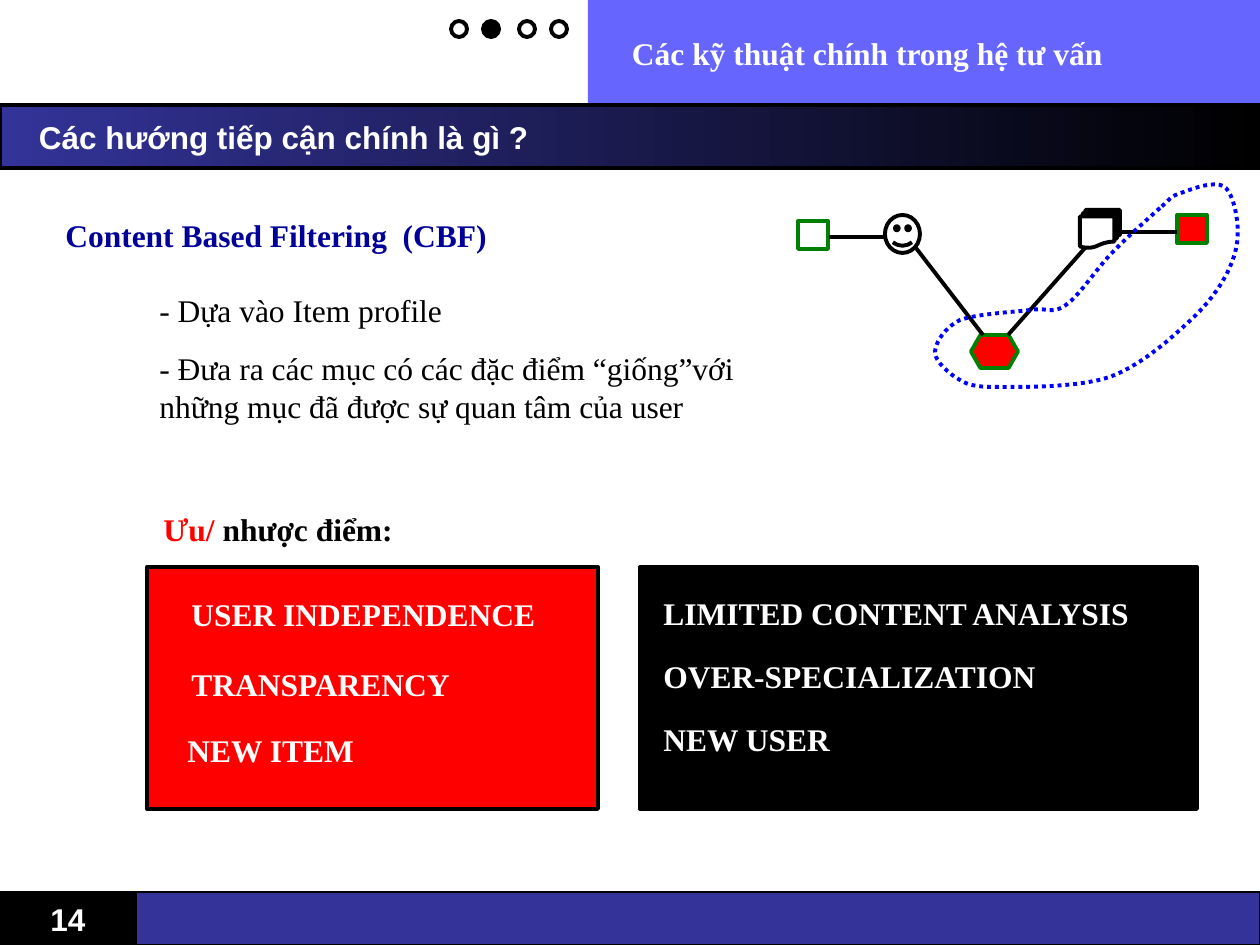
from dataclasses import dataclass

from lxml import etree
from pptx import Presentation
from pptx.dml.color import RGBColor
from pptx.enum.dml import MSO_LINE
from pptx.enum.shapes import MSO_CONNECTOR, MSO_SHAPE
from pptx.enum.text import MSO_ANCHOR, PP_ALIGN
from pptx.oxml.ns import qn
from pptx.util import Pt

PX = 914400 / 126
RECT, OVAL = MSO_SHAPE.RECTANGLE, MSO_SHAPE.OVAL
FACE, HEXAGON = MSO_SHAPE.SMILEY_FACE, MSO_SHAPE.FLOWCHART_PREPARATION
DOCUMENTS = MSO_SHAPE.FLOWCHART_MULTIDOCUMENT
STRAIGHT, DOTTED = MSO_CONNECTOR.STRAIGHT, MSO_LINE.ROUND_DOT
TOP, MIDDLE = MSO_ANCHOR.TOP, MSO_ANCHOR.MIDDLE
LEFT, CENTER = PP_ALIGN.LEFT, PP_ALIGN.CENTER


@dataclass(frozen=True)
class Theme:
    black: str = "000000"
    white: str = "FFFFFF"
    red: str = "FF0000"
    green: str = "008000"
    blue: str = "0000FF"
    navy: str = "000099"
    indigo: str = "333399"
    violet: str = "6666FF"
    serif: str = "Times New Roman"
    sans: str = "Arial"
    size: int = 18
    thin: float = 0.75
    thick: float = 2.25


THEME = Theme()

# Cubic outline around the liked and suggested items: a start, then triples
OUTLINE = [
    (362, 29), (351, 39), (328, 59), (312, 76), (297, 92), (281, 117), (268, 126),
    (254, 136), (250, 128), (233, 131), (215, 133), (179, 135), (162, 141),
    (147, 149), (138, 162), (137, 173), (137, 181), (147, 191), (157, 198),
    (167, 204), (171, 208), (197, 208), (224, 208), (279, 209), (312, 198),
    (346, 185), (376, 157), (398, 136), (419, 115), (433, 92), (438, 70),
    (443, 49), (437, 19), (428, 9), (419, 0), (394, 10), (383, 14),
    (371, 18), (374, 19), (362, 29),
]


def emu(*lengths):
    return [round(length * PX) for length in lengths]


def color(value):
    return RGBColor.from_string(value)


def set_line(shape, value, width):
    if value is None:
        shape.line.fill.background()
    else:
        shape.line.color.rgb = color(value)
        shape.line.width = Pt(width)


def add_box(page, kind, box, fill=None, line=THEME.black, width=THEME.thick):
    shape = page.shapes.add_shape(kind, *emu(*box))
    shape.shadow.inherit = False
    if fill:
        shape.fill.solid()
        shape.fill.fore_color.rgb = color(fill)
    else:
        shape.fill.background()
    set_line(shape, line, width)
    return shape


def add_line(page, start, end):
    line = page.shapes.add_connector(STRAIGHT, *emu(*start, *end))
    set_line(line, THEME.black, THEME.thick)
    etree.SubElement(line._element.spPr, qn("a:effectLst"))


def write(shape, spans, bold=True, font=THEME.serif, align=LEFT, anchor=MIDDLE,
          indent=None, wrap=True):
    """Write (text, colour) spans as one paragraph."""
    frame = shape.text_frame
    frame.word_wrap = wrap
    frame.vertical_anchor = anchor
    if indent is not None:
        frame.margin_left = emu(indent)[0]
    para = frame.paragraphs[0]
    para.alignment = align
    for text, value in spans:
        span = para.add_run()
        span.text = text
        span.font.name = font
        span.font.size = Pt(THEME.size)
        span.font.bold = bold
        span.font.color.rgb = color(value)


def add_text(page, box, *spans, **options):
    write(page.shapes.add_textbox(*emu(*box)), spans, **options)


def add_header(page, left, top, width, height):
    # Section name and progress dots
    split, bar = 588, 63
    section = add_box(page, RECT, (left + split, top, width - split, height - bar),
                      THEME.violet, None)
    write(section, [("Các kỹ thuật chính trong hệ tư vấn", THEME.white)], indent=44)
    for index, x in enumerate((451, 483, 519, 551)):
        add_box(page, OVAL, (left + x, top + 21, 16, 16),
                THEME.black if index == 1 else None)

    # Title bar
    title = add_box(page, RECT, (left, top + height - bar, width, bar))
    title.fill.gradient()
    title.fill.gradient_angle = 0
    stops = zip(title.fill.gradient_stops, (THEME.indigo, THEME.black), (0, 1))
    for stop, value, position in stops:
        stop.color.rgb = color(value)
        stop.position = position
    write(title, [("Các hướng tiếp cận chính là gì ?", THEME.white)],
          font=THEME.sans, indent=39)


def add_outline(page, left, top):
    points = [OUTLINE[0]]
    steps = 10
    for first in range(0, len(OUTLINE) - 1, 3):
        a, b, c, d = OUTLINE[first:first + 4]
        for step in range(1, steps + 1):
            t = step / steps
            weights = ((1 - t) ** 3, 3 * t * (1 - t) ** 2, 3 * t * t * (1 - t), t ** 3)
            points.append(tuple(sum(w * p[axis] for w, p in zip(weights, (a, b, c, d)))
                                for axis in (0, 1)))
    places = [emu(left + x, top + y) for x, y in points]
    builder = page.shapes.build_freeform(*places[0], scale=1.0)
    builder.add_line_segments(places[1:], close=True)
    outline = builder.convert_to_shape()
    outline.shadow.inherit = False
    outline.fill.background()
    set_line(outline, THEME.blue, THEME.thick)
    outline.line.dash_style = DOTTED


def add_graph(page, left, top):
    # User, documents and items
    for kind, (x, y, width, height), fill, line in (
        (FACE, (87, 36, 35, 38), None, THEME.black),
        (DOCUMENTS, (282, 31, 40, 38), None, THEME.black),
        (RECT, (0, 42, 30, 28), None, THEME.green),
        (RECT, (379, 36, 30, 28), THEME.red, THEME.green),
        (HEXAGON, (173, 156, 47, 33), THEME.red, THEME.green),
    ):
        add_box(page, kind, (left + x, top + y, width, height), fill, line)
    # Links between them
    for x1, y1, x2, y2 in ((87, 58, 31, 58), (379, 53, 322, 53),
                           (118, 69, 185, 156), (287, 69, 210, 156)):
        add_line(page, (left + x1, top + y1), (left + x2, top + y2))
    add_outline(page, left, top)


def add_method(page, left, top):
    add_text(page, (left, top, 456, 50),
             ("Content Based Filtering  (CBF)", THEME.navy), anchor=TOP, wrap=False)
    add_text(page, (left + 94, top + 75, 330, 50),
             ("- Dựa vào Item profile", THEME.black), bold=False, anchor=TOP, wrap=False)
    add_text(page, (left + 94, top + 133, 662, 88),
             ("- Đưa ra các mục có các đặc điểm “giống”với những mục đã được"
              " sự quan tâm của user", THEME.black), bold=False, anchor=TOP)


def add_panel(page, box, fill, entries):
    add_box(page, RECT, box, fill)
    left, top = box[:2]
    for text, x, y, width in entries:
        add_text(page, (left + x, top + y, width, 50), (text, THEME.white), wrap=False)


def add_comparison(page, left, top):
    add_text(page, (left + 4, top, 265, 50), ("Ưu/ ", THEME.red),
             ("nhược điểm:", THEME.black), anchor=TOP, wrap=False)
    add_panel(page, (left, top + 63, 451, 242), THEME.red, (
        ("USER INDEPENDENCE", 32, 22, 387),
        ("TRANSPARENCY", 32, 92, 304),
        ("NEW ITEM", 28, 158, 202)))
    add_panel(page, (left + 493, top + 63, 557, 242), THEME.black, (
        ("LIMITED CONTENT ANALYSIS", 11, 21, 514),
        ("OVER-SPECIALIZATION", 11, 84, 417),
        ("NEW USER", 11, 147, 210)))


def add_footer(page, left, top, width, height):
    split = 136
    number = add_box(page, RECT, (left, top, split, height), THEME.black,
                     width=THEME.thin)
    write(number, [("14", THEME.white)], font=THEME.sans, align=CENTER)
    add_box(page, RECT, (left + split, top, width - split, height), THEME.indigo,
            width=THEME.thin)


def main():
    deck = Presentation()
    deck.slide_width, deck.slide_height = emu(1260, 945)
    page = deck.slides.add_slide(deck.slide_layouts[6])
    add_header(page, 0, 0, 1260, 168)
    add_method(page, 53, 210)
    add_graph(page, 798, 179)
    add_comparison(page, 147, 504)
    add_footer(page, 0, 892, 1260, 53)
    deck.save("out.pptx")


if __name__ == "__main__":
    main()
